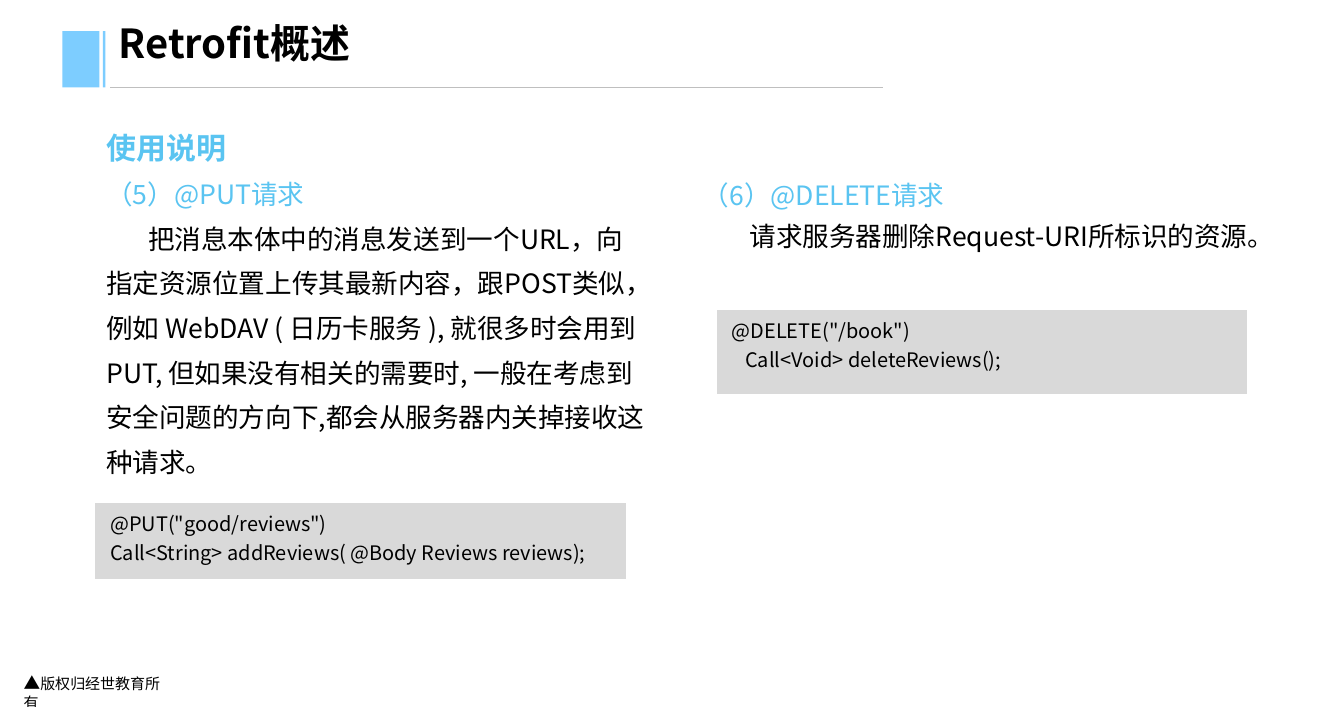
from dataclasses import dataclass

from lxml import etree
from pptx import Presentation
from pptx.dml.color import RGBColor
from pptx.enum.shapes import MSO_CONNECTOR, MSO_SHAPE
from pptx.enum.text import MSO_ANCHOR
from pptx.oxml.ns import qn
from pptx.util import Inches, Pt

STRAIGHT = MSO_CONNECTOR.STRAIGHT
RECTANGLE = MSO_SHAPE.RECTANGLE
TOP = MSO_ANCHOR.TOP

FONT = "Noto Sans CJK SC"
BLACK = RGBColor(0x00, 0x00, 0x00)
HEADING_BLUE = RGBColor(0x5A, 0xC4, 0xF1)
ACCENT_BLUE = RGBColor(0x7D, 0xCD, 0xFF)
RULE_GREY = RGBColor(0xBF, 0xBF, 0xBF)
CODE_GREY = RGBColor(0xD9, 0xD9, 0xD9)


@dataclass(frozen=True)
class Box:
    left: float
    top: float
    width: float
    height: float

    def lengths(self):
        return [Inches(v) for v in (self.left, self.top, self.width, self.height)]


@dataclass(frozen=True)
class Line:
    text: str
    size: float = 16
    color: RGBColor = BLACK
    bold: bool = False
    indent: float = 0


@dataclass(frozen=True)
class TextBlock:
    box: Box
    lines: tuple[Line, ...]
    spacing: float


@dataclass(frozen=True)
class CodeBlock:
    box: Box
    lines: tuple[str, ...]


ACCENT_BARS = (Box(0.52, 0.26, 0.31, 0.47), Box(0.86, 0.26, 0.02, 0.47))

TEXT_BLOCKS = (
    TextBlock(Box(0.79, 0.91, 4.7, 3.16), (
        Line("使用说明", size=18, color=HEADING_BLUE, bold=True),
        Line("（5）@PUT请求", color=HEADING_BLUE),
        Line("把消息本体中的消息发送到一个URL，向指定资源位置上传其最新内容，"
             "跟POST类似，例如 WebDAV ( 日历卡服务 ), 就很多时会用到 PUT, "
             "但如果没有相关的需要时, 一般在考虑到安全问题的方向下,"
             "都会从服务器内关掉接收这种请求。", indent=0.35),
    ), 1.4),
    TextBlock(Box(5.77, 1.36, 4.86, 1.15), (
        Line("（6）@DELETE请求", color=HEADING_BLUE),
        Line("请求服务器删除Request-URI所标识的资源。", indent=0.39),
    ), 1.3),
)

CODE_BLOCKS = (
    CodeBlock(Box(0.79, 4.19, 4.44, 0.65), (
        '@PUT("good/reviews")',
        "Call<String> addReviews( @Body Reviews reviews);",
    )),
    CodeBlock(Box(5.98, 2.58, 4.44, 0.71), (
        '@DELETE("/book")',
        "   Call<Void> deleteReviews();",
    )),
)


def add_run(paragraph, text: str, *, size: float, color: RGBColor = BLACK,
            bold: bool = False) -> None:
    run = paragraph.add_run()
    run.text = text
    run.font.size = Pt(size)
    run.font.bold = bold
    run.font.color.rgb = color
    run.font.name = FONT
    east_asian = etree.Element(qn("a:ea"), typeface=FONT)
    run.font._element.find(qn("a:latin")).addnext(east_asian)


def next_paragraph(frame, index: int):
    return frame.paragraphs[0] if index == 0 else frame.add_paragraph()


def add_text_frame(slide, box: Box):
    frame = slide.shapes.add_textbox(*box.lengths()).text_frame
    frame.word_wrap = True
    frame.vertical_anchor = TOP
    return frame


def add_text_block(slide, block: TextBlock) -> None:
    frame = add_text_frame(slide, block.box)
    for index, line in enumerate(block.lines):
        paragraph = next_paragraph(frame, index)
        paragraph.line_spacing = block.spacing
        if line.indent:
            paragraph._p.get_or_add_pPr().set("indent", str(Inches(line.indent)))
        add_run(paragraph, line.text, size=line.size, color=line.color, bold=line.bold)


def add_code_block(slide, block: CodeBlock) -> None:
    table = slide.shapes.add_table(1, 1, *block.box.lengths()).table
    table.first_row = False
    table.horz_banding = False
    cell = table.cell(0, 0)
    cell.fill.solid()
    cell.fill.fore_color.rgb = CODE_GREY
    cell.margin_left = Inches(0.13)
    for index, text in enumerate(block.lines):
        add_run(next_paragraph(cell.text_frame, index), text, size=12)


def add_header(slide) -> None:
    rule = slide.shapes.add_connector(
        STRAIGHT, Inches(0.92), Inches(0.73), Inches(7.37), Inches(0.73))
    rule.line.color.rgb = RULE_GREY
    rule.line.width = Pt(1)
    etree.SubElement(rule._element.spPr, qn("a:effectLst"))

    for box in ACCENT_BARS:
        bar = slide.shapes.add_shape(RECTANGLE, *box.lengths())
        bar.shadow.inherit = False
        bar.fill.solid()
        bar.fill.fore_color.rgb = ACCENT_BLUE
        bar.line.fill.background()

    frame = add_text_frame(slide, Box(0.92, 0.2, 6.71, 0.37))
    frame.margin_left = Inches(0.07)
    frame.margin_top = frame.margin_bottom = 0
    title = frame.paragraphs[0]
    title.line_spacing = 0.9
    add_run(title, "Retrofit概述", size=24, bold=True)


def add_footer(slide) -> None:
    paragraph = add_text_frame(slide, Box(0.1, 5.57, 1.44, 0.27)).paragraphs[0]
    add_run(paragraph, "▲", size=10)
    add_run(paragraph, "版权归经世教育所有", size=9)


def main() -> None:
    presentation = Presentation()
    presentation.slide_width = Inches(11.22)
    presentation.slide_height = Inches(5.9)
    slide = presentation.slides.add_slide(presentation.slide_layouts[6])

    # Footer and title area
    add_footer(slide)
    add_header(slide)

    # Explanations of the two requests
    for text_block in TEXT_BLOCKS:
        add_text_block(slide, text_block)

    # Code samples
    for code_block in CODE_BLOCKS:
        add_code_block(slide, code_block)

    presentation.save("out.pptx")


if __name__ == "__main__":
    main()
